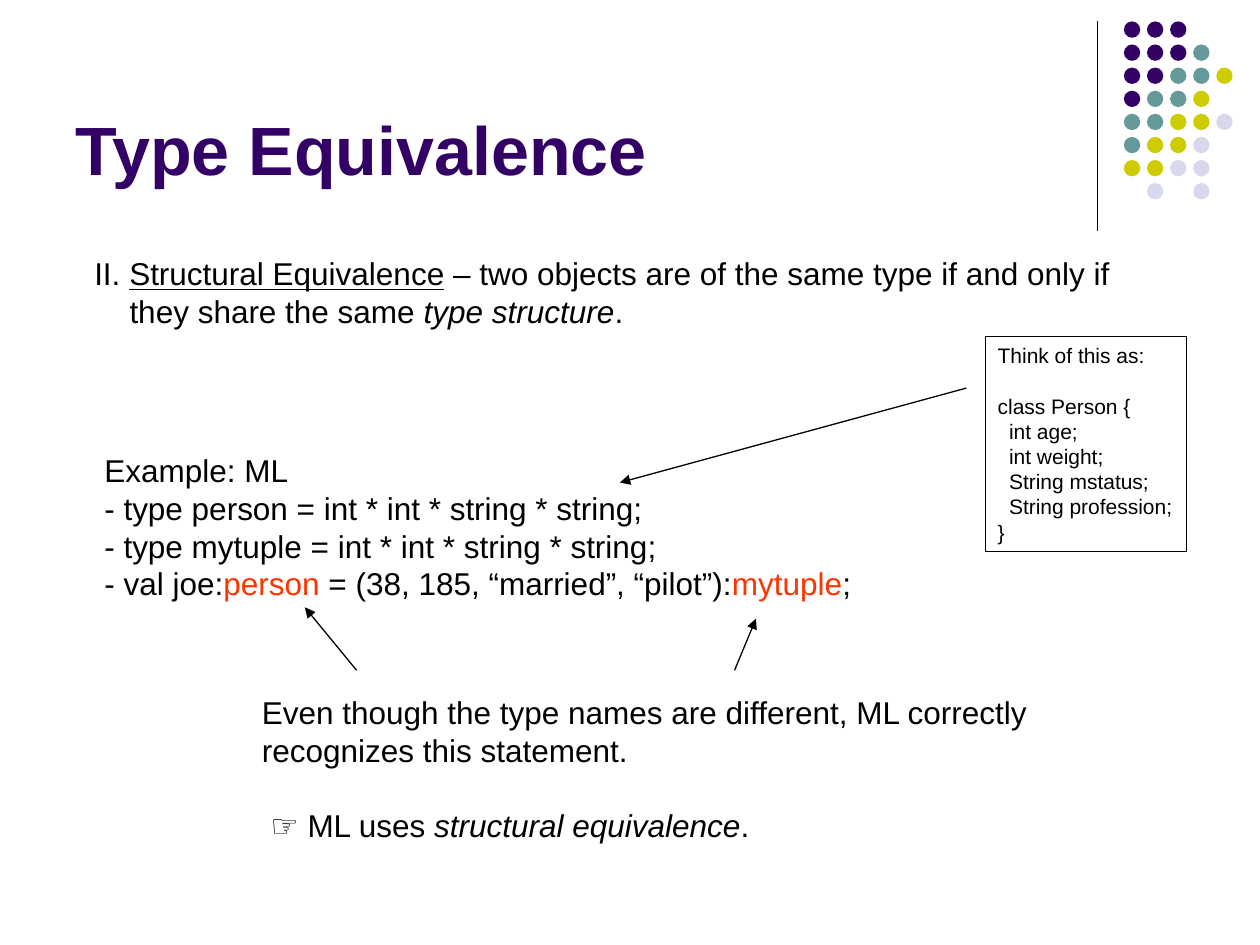
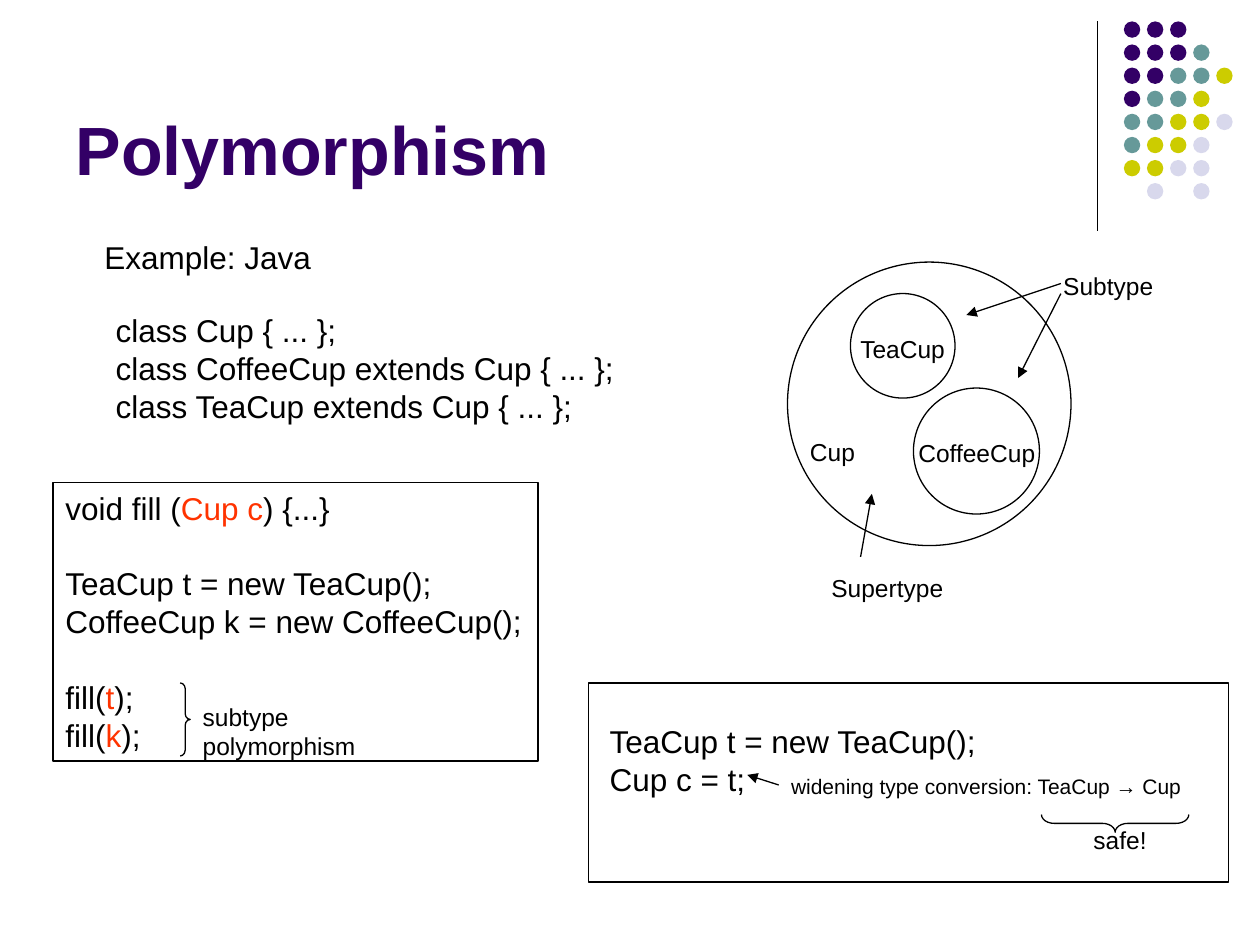
from lxml.etree import SubElement
from pptx import Presentation
from pptx.dml.color import RGBColor
from pptx.enum.shapes import MSO_CONNECTOR as CONN, MSO_SHAPE as SHAPE
from pptx.enum.text import MSO_ANCHOR as ANCHOR, MSO_AUTO_SIZE as FIT, PP_ALIGN as ALIGN
from pptx.oxml.ns import qn
from pptx.util import Inches, Pt

COLORS = {"purple": "330066", "teal": "669999", "olive": "CCCC00",
          "lilac": "D8D8EC", "black": "000000", "red": "FF3300"}
FONT = "Arial"
LINE_HEIGHT = 1.2
RED = {"color": "red"}
ITALIC = {"italic": True}

# Dot pattern: one letter for each colour, a dot for a gap
DOT_COLORS = {"P": "purple", "T": "teal", "O": "olive", "L": "lilac"}
DOT_ROWS = ["PPP..", "PPPT.", "PPTTO", "PTTO.",
            "TTOOL", "TOOL.", "OOLL.", ".L.L."]
DOT_SIZE, DOT_PITCH = 0.13, 0.55 / 3


def rgb(name):
    return RGBColor.from_string(COLORS[name])


def write(tf, paragraphs, size=18, color="black", bold=None, spacing=True):
    """Fill a frame; a paragraph is a string, a list of runs, or a dict
    with "runs", "gap" (empty lines above) and "indent" (inches)."""
    tf.word_wrap = True
    tf.auto_size = FIT.NONE
    tf.margin_right = 0
    for i, item in enumerate(paragraphs):
        p = tf.paragraphs[0] if i == 0 else tf.add_paragraph()
        p.alignment = ALIGN.LEFT
        if not isinstance(item, dict):
            item = {"runs": item}
        if spacing:
            p.line_spacing = Pt(LINE_HEIGHT * size)
        p.space_before = Pt(LINE_HEIGHT * size * item.get("gap", 0))
        if "indent" in item:
            p._p.get_or_add_pPr().set("marL", str(Inches(item["indent"])))
        runs = item["runs"]
        for run in [runs] if isinstance(runs, str) else runs:
            text, fmt = (run, {}) if isinstance(run, str) else run
            r = p.add_run()
            r.text = text
            r.font.name, r.font.size = FONT, Pt(size)
            r.font.bold = bold
            r.font.italic = fmt.get("italic")
            r.font.underline = fmt.get("underline")
            r.font.color.rgb = rgb(fmt.get("color", color))


def add_text(slide, x, y, w, h, paragraphs, **fmt):
    box = slide.shapes.add_textbox(Inches(x), Inches(y), Inches(w), Inches(h))
    write(box.text_frame, paragraphs, **fmt)


def add_shape(shapes, kind, x, y, w, h, fill=None):
    """Solid shape without a line, or a thin black outline."""
    sp = shapes.add_shape(kind, Inches(x), Inches(y), Inches(w), Inches(h))
    sp.shadow.inherit = False
    if fill:
        sp.fill.solid()
        sp.fill.fore_color.rgb = rgb(fill)
        sp.line.fill.background()
    else:
        sp.fill.background()
        sp.line.color.rgb = rgb("black")
        sp.line.width = Pt(0.75)
    return sp


def add_code_box(slide, x, y, w, h, paragraphs, **fmt):
    sp = add_shape(slide.shapes, SHAPE.RECTANGLE, x, y, w, h)
    sp.text_frame.vertical_anchor = ANCHOR.TOP
    write(sp.text_frame, paragraphs, **fmt)


def add_brace(slide, x, y, w, h, curve, rotation=0):
    sp = add_shape(slide.shapes, SHAPE.RIGHT_BRACE, x, y, w, h)
    sp.adjustments[0] = curve
    sp.rotation = rotation


def add_line(slide, x1, y1, x2, y2, arrow=True):
    line = slide.shapes.add_connector(
        CONN.STRAIGHT, Inches(x1), Inches(y1), Inches(x2), Inches(y2))
    line.line.color.rgb = rgb("black")
    line.line.width = Pt(0.75)
    sp_pr = line.element.spPr
    if arrow:
        SubElement(sp_pr.find(qn("a:ln")), qn("a:tailEnd"), type="triangle")
    SubElement(sp_pr, qn("a:effectLst"))
    return line


# Shared layout
def decorate_layout(layout, slide, x, y):
    """Draw rule and dots, then move them to the layout."""
    rule = add_line(slide, x, y, x, y + 1.66, arrow=False)
    dots = slide.shapes.add_group_shape()
    for row, letters in enumerate(DOT_ROWS):
        for col, letter in enumerate(letters):
            if letter in DOT_COLORS:
                add_shape(dots.shapes, SHAPE.OVAL, x + 0.21 + col * DOT_PITCH,
                          y + row * DOT_PITCH, DOT_SIZE, DOT_SIZE,
                          fill=DOT_COLORS[letter])
    tree = layout.element.cSld.spTree
    for part in (rule, dots):
        tree.append(part.element)
    for number, props in enumerate(tree.iter(qn("p:cNvPr")), 1):
        props.set("id", str(number))


def add_titled_slide(prs, layout, title):
    slide = prs.slides.add_slide(layout)
    sp = slide.shapes.title
    sp.left, sp.top = Inches(0.5), Inches(0.13)
    sp.width, sp.height = Inches(8.25), Inches(1.42)
    sp.text_frame.vertical_anchor = ANCHOR.BOTTOM
    write(sp.text_frame, [title], size=39, color="purple", bold=True, spacing=False)
    return slide


# Type equivalence
def definition(slide, x, y):
    add_text(slide, x, y, 8.4, 0.7, [
        ["II. ", ("Structural Equivalence", {"underline": True}),
         " – two objects are of the same type if and only if"],
        {"indent": 0.28,
         "runs": ["they share the same ", ("type structure", ITALIC), "."]}])


def ml_example(slide, x, y):
    add_text(slide, x, y, 6.3, 1.6, [
        "Example: ML",
        "- type person = int * int * string * string;",
        "- type mytuple = int * int * string * string;",
        ["- val joe:", ("person", RED), " = (38, 185, “married”, “pilot”):",
         ("mytuple", RED), ";"]])
    # Conclusion, pointing at both type names
    add_text(slide, x + 1.25, y + 1.92, 6.4, 1.3, [
        "Even though the type names are different, ML correctly",
        "recognizes this statement.",
        {"gap": 1, "indent": 0.07,
         "runs": ["☞ ML uses ", ("structural equivalence", ITALIC), "."]}])
    add_line(slide, x + 2.1, y + 1.79, x + 1.69, y + 1.29)
    add_line(slide, x + 5.1, y + 1.79, x + 5.27, y + 1.38)


def class_note(slide, x, y):
    fields = ["int age;", "int weight;", "String mstatus;", "String profession;"]
    add_code_box(slide, x, y, 1.6, 1.71, [
        "Think of this as:",
        {"gap": 1, "runs": "class Person {"},
        *({"indent": 0.09, "runs": field} for field in fields),
        "}"], size=12)
    add_line(slide, x - 0.15, y + 0.41, x - 2.9, y + 1.16)


# Polymorphism
def java_classes(slide, x, y):
    add_text(slide, x, y, 1.94, 0.4, ["Example: Java"])
    add_text(slide, x + 0.09, y + 0.58, 4.3, 1, [
        "class Cup { ... };",
        "class CoffeeCup extends Cup { ... };",
        "class TeaCup extends Cup { ... };"])


def cup_diagram(slide, x, y):
    for dx, dy, size in [(0, 0, 2.25), (0.5, 0.25, 0.83), (1, 1, 1)]:
        add_shape(slide.shapes, SHAPE.OVAL, x + dx, y + dy, size, size)
    labels = [("TeaCup", 0.48, 0.52), ("CoffeeCup", 0.94, 1.35), ("Cup", 0.08, 1.34),
              ("Supertype", 0.25, 2.42), ("Subtype", 2.09, 0.02)]
    for label, dx, dy in labels:
        add_text(slide, x + dx, y + dy, 1.3, 0.33, [label], size=14)
    arrows = [(2.17, 0.17, 1.42, 0.42), (2.17, 0.25, 1.83, 0.92),
              (0.58, 2.34, 0.67, 1.84)]
    for x1, y1, x2, y2 in arrows:
        add_line(slide, x + x1, y + y1, x + x2, y + y2)


def fill_code(slide, x, y):
    add_code_box(slide, x, y, 3.85, 2.21, [
        ["void fill (", ("Cup c", RED), ") {...}"],
        {"gap": 1, "runs": "TeaCup t = new TeaCup();"},
        "CoffeeCup k = new CoffeeCup();",
        {"gap": 1, "runs": ["fill(", ("t", RED), ");"]},
        ["fill(", ("k", RED), ");"]])
    add_brace(slide, x + 1.01, y + 1.59, 0.08, 0.58, 0.58)
    add_text(slide, x + 1.09, y + 1.69, 2.15, 0.56,
             ["subtype", "polymorphism"], size=14)


def widening_code(slide, x, y):
    add_shape(slide.shapes, SHAPE.RECTANGLE, x, y, 5.08, 1.58)
    add_text(slide, x + 0.07, y + 0.26, 3.3, 0.7,
             ["TeaCup t = new TeaCup();", "Cup c = t;"])
    add_text(slide, x + 1.51, y + 0.67, 3.5, 0.3,
             ["widening type conversion: TeaCup → Cup"], size=12)
    add_line(slide, x + 1.51, y + 0.81, x + 1.26, y + 0.73)
    add_brace(slide, x + 4.11, y + 0.53, 0.14, 1.17, 0.72, rotation=90)
    add_text(slide, x + 3.91, y + 1.08, 0.72, 0.33, ["safe!"], size=14)


def main():
    prs = Presentation()
    prs.slide_width, prs.slide_height = Inches(10), Inches(7.5)
    layout = prs.slide_layouts.get_by_name("Title Only")

    slide = add_titled_slide(prs, layout, "Type Equivalence")
    decorate_layout(layout, slide, 8.71, 0.17)
    definition(slide, 0.65, 1.97)
    ml_example(slide, 0.73, 3.53)
    class_note(slide, 7.82, 2.67)

    slide = add_titled_slide(prs, layout, "Polymorphism")
    java_classes(slide, 0.73, 1.84)
    cup_diagram(slide, 6.25, 2.08)
    fill_code(slide, 0.42, 3.83)
    widening_code(slide, 4.67, 5.42)

    prs.save("out.pptx")


if __name__ == "__main__":
    main()
